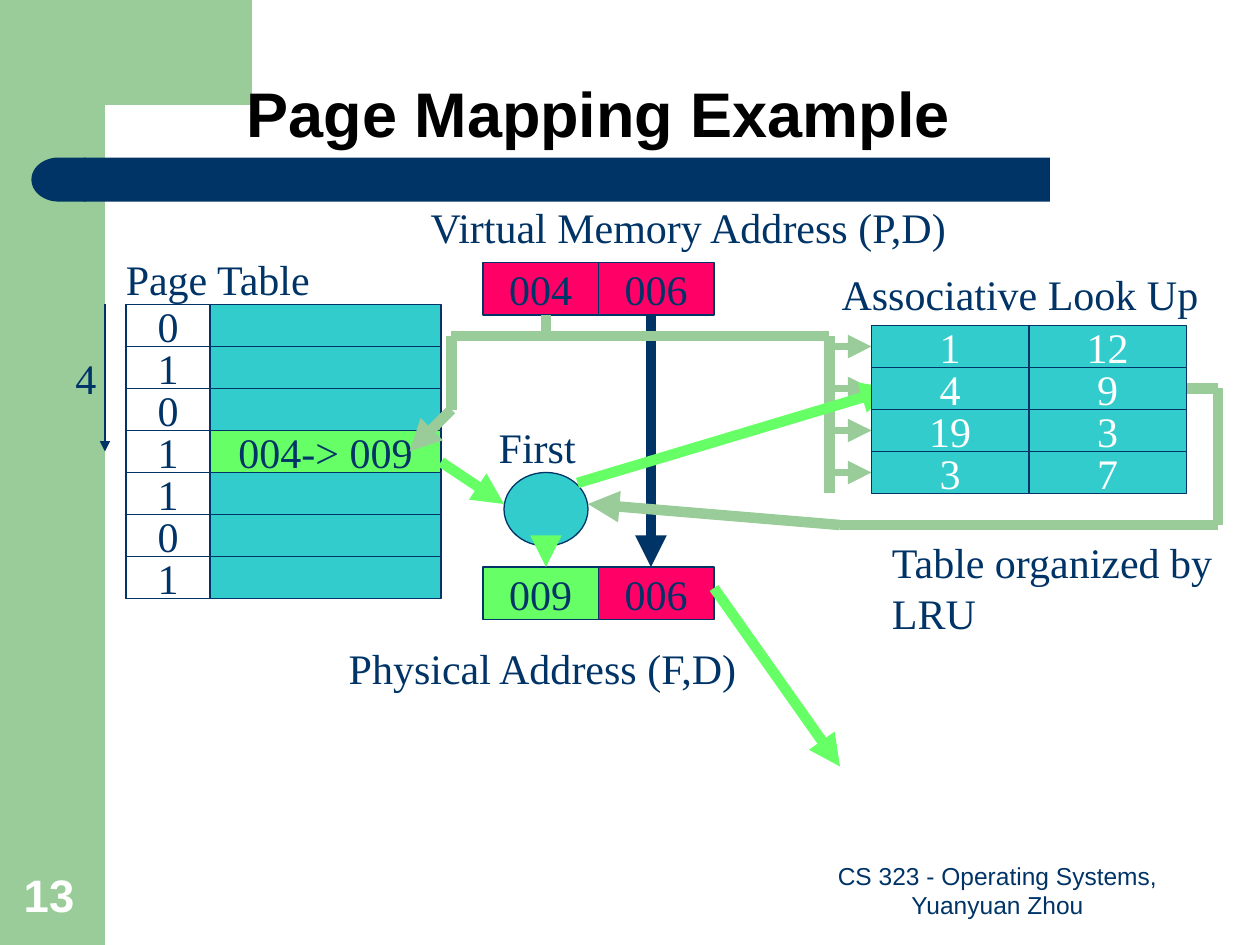
import lxml.etree
import pptx
import pptx.util
import pptx.dml.color
import pptx.enum.shapes
import pptx.enum.text
import pptx.oxml.ns

Pt = pptx.util.Pt
qn = pptx.oxml.ns.qn
SHAPE = pptx.enum.shapes.MSO_SHAPE
ALIGN = pptx.enum.text.PP_ALIGN
ANCHOR = pptx.enum.text.MSO_ANCHOR

THEME = {
    "navy": "003366", "sage": "99CC99", "pink": "FF0066", "lime": "66FF66",
    "teal": "33CCCC", "white": "FFFFFF", "black": "000000",
    "title": {"name": "Arial", "size": Pt(36), "bold": True},
    "body": {"name": "Times New Roman", "size": Pt(24), "bold": False},
    "footer": {"name": "Arial", "size": Pt(14), "bold": False},
    "number": {"name": "Arial", "size": Pt(26), "bold": True},
    "hairline": 0.75, "feed": 4.5, "heavy": 6,
}

TITLE = "Page Mapping Example"
BITS = ["0", "1", "0", "1", "1", "0", "1"]
MAPPED_ROW, MAPPING = 3, "004-> 009"
LOOKUP = [("1", "12"), ("4", "9"), ("19", "3"), ("3", "7")]
ADDRESSES = [
    (150, [("004", "pink"), ("006", "pink")]),
    (324, [("009", "lime"), ("006", "pink")]),
]
LABELS = [
    ("Page Table", 64.8, 141.1, 121.7),
    ("Virtual Memory Address (P,D)", 239, 111.6, 313.9),
    ("Physical Address (F,D)", 192.2, 363.6, 239),
    ("4", 36, 198, 25.9),
    ("Associative Look Up", 473.8, 149.8, 218.2),
    ("First", 277.9, 237.6, 58.3),
    ("Table organized by\nLRU", 502.6, 303.1, 199.4),
]
FOOTERS = [
    ("CS 323 - Operating Systems, Yuanyuan Zhou", (456, 491.8, 228, 37.4),
     "footer", "navy", ALIGN.CENTER),
    ("13", (6.5, 491.8, 46.1, 38.2), "number", "white", ALIGN.LEFT),
]
CORNER = [(36, 0), (144, 0), (144, 60), (60, 60), (55, 61), (51, 66),
          (49, 75), (48, 92), (36, 92)]

ROW = 24
PAGE_X, PAGE_Y, PAGE_W, BIT_W = 72, 174, 180, 48
LOOKUP_X, LOOKUP_Y, LOOKUP_W = 498, 186, 90
ADDRESS_X, ADDRESS_W, ADDRESS_H = 276, 66, 30
BUS_X = 474
INSET = 7.2

PATHS = [
    ([(372, 180), (372, 324)], "navy", "heavy", True),
    ([(60, 174), (60, 258)], "navy", "hairline", True),
    ([(258, 192), (BUS_X, 192), (BUS_X, 282)], "sage", "heavy", False),
    ([(312, 180), (312, 192)], "sage", "heavy", False),
    ([(258, 192), (258, 234), (234, 258)], "sage", "heavy", True),
    ([(666, 222), (696, 222), (696, 300), (480, 300), (336, 288)],
     "sage", "heavy", True),
]
PATHS += [([(BUS_X, y), (LOOKUP_X, y)], "sage", "feed", True)
          for y in (LOOKUP_Y + ROW * (i + 0.5) for i in range(len(LOOKUP)))]
PATHS += [(points, "lime", "heavy", True) for points in (
    [(330, 276), (510, 222)],
    [(312, 312), (312, 324)],
    [(252, 264), (288, 288)],
    [(408, 336), (480, 438)],
)]


def rgb(name):
    return pptx.dml.color.RGBColor.from_string(THEME[name])


def apply(obj, values):
    for key, value in values.items():
        setattr(obj, key, value)


def write(sp, text, style="body", color="navy", align=ALIGN.LEFT,
          anchor=ANCHOR.TOP, wrap=False, left=INSET):
    tf = sp.text_frame
    apply(tf, {"text": text, "word_wrap": wrap, "vertical_anchor": anchor,
               "margin_left": Pt(left), "margin_right": Pt(INSET),
               "margin_top": Pt(3.6), "margin_bottom": Pt(3.6)})
    for p in tf.paragraphs:
        p.alignment = align
        for r in p.runs:
            apply(r.font, THEME[style])
            r.font.color.rgb = rgb(color)


def paint(sp, fill, outline=None):
    sp.shadow.inherit = False
    sp.fill.solid()
    sp.fill.fore_color.rgb = rgb(fill)
    if outline:
        sp.line.color.rgb = rgb(outline)
        sp.line.width = Pt(THEME["hairline"])
    else:
        sp.line.fill.background()
    return sp


def shape(s, kind, box, fill, outline=None):
    return paint(s.shapes.add_shape(kind, *map(Pt, box)), fill, outline)


def cell(s, box, fill, text="", color="navy", left=INSET):
    sp = shape(s, SHAPE.RECTANGLE, box, fill, "navy")
    if text:
        write(sp, text, color=color, align=ALIGN.CENTER,
              anchor=ANCHOR.MIDDLE, left=left)


def path_lines(s, points, color, weight, arrow):
    for i, (start, end) in enumerate(zip(points, points[1:]), 2):
        c = s.shapes.add_connector(pptx.enum.shapes.MSO_CONNECTOR.STRAIGHT,
                                   *map(Pt, start + end))
        c.line.color.rgb = rgb(color)
        c.line.width = Pt(THEME[weight])
        props = c._element.spPr
        if arrow and i == len(points):
            lxml.etree.SubElement(props.find(qn("a:ln")), qn("a:tailEnd"),
                                  type="triangle")
        lxml.etree.SubElement(props, qn("a:effectLst"))


def backdrop(s):
    shape(s, SHAPE.RECTANGLE, (0, 0, 60, 540), "sage")
    corner = s.shapes.build_freeform(*CORNER[0], scale=Pt(1))
    corner.add_line_segments(CORNER[1:], close=True)
    paint(corner.convert_to_shape(), "sage")
    bar = shape(s, SHAPE.ROUNDED_RECTANGLE, (48, 90, 552, 25.2), "navy")
    bar.adjustments[0] = 0
    cap = shape(s, SHAPE.FLOWCHART_DELAY, (18, 90, 31, 25.2), "navy")
    cap._element.spPr.find(qn("a:xfrm")).set("flipH", "1")


def title(s):
    sp = s.shapes.title
    apply(sp, {"left": Pt(36), "top": Pt(0), "width": Pt(612), "height": Pt(90)})
    write(sp, TITLE, "title", "black", ALIGN.CENTER, ANCHOR.BOTTOM, wrap=True)
    sp.text_frame.paragraphs[0].line_spacing = 0.9
    s.shapes._spTree.append(sp._element)


def main():
    prs = pptx.Presentation()
    apply(prs, {"slide_width": Pt(720), "slide_height": Pt(540)})
    s = prs.slides.add_slide(prs.slide_layouts[5])
    backdrop(s)
    title(s)
    for y, parts in ADDRESSES:
        for i, (text, fill) in enumerate(parts):
            cell(s, (ADDRESS_X + i * ADDRESS_W, y, ADDRESS_W, ADDRESS_H), fill, text)
    for i, bit in enumerate(BITS):
        y = PAGE_Y + i * ROW
        mapped = i == MAPPED_ROW
        cell(s, (PAGE_X, y, PAGE_W, ROW), "lime" if mapped else "teal",
             MAPPING if mapped else "", left=BIT_W + INSET)
        cell(s, (PAGE_X, y, BIT_W, ROW), "white", bit)
    shape(s, SHAPE.OVAL, (288, 270, 48, 42), "teal", "navy")
    for route in PATHS:
        path_lines(s, *route)
    for i, entry in enumerate(LOOKUP):
        for j, text in enumerate(entry):
            cell(s, (LOOKUP_X + j * LOOKUP_W, LOOKUP_Y + i * ROW, LOOKUP_W, ROW),
                 "teal", text, "white")
    for text, x, y, w in LABELS:
        h = 7.2 + 28.8 * len(text.split("\n"))
        write(s.shapes.add_textbox(*map(Pt, (x, y, w, h))), text)
    for text, box, style, color, align in FOOTERS:
        write(s.shapes.add_textbox(*map(Pt, box)), text, style, color, align,
              ANCHOR.BOTTOM, wrap=True)
    prs.save("out.pptx")


if __name__ == "__main__":
    main()
